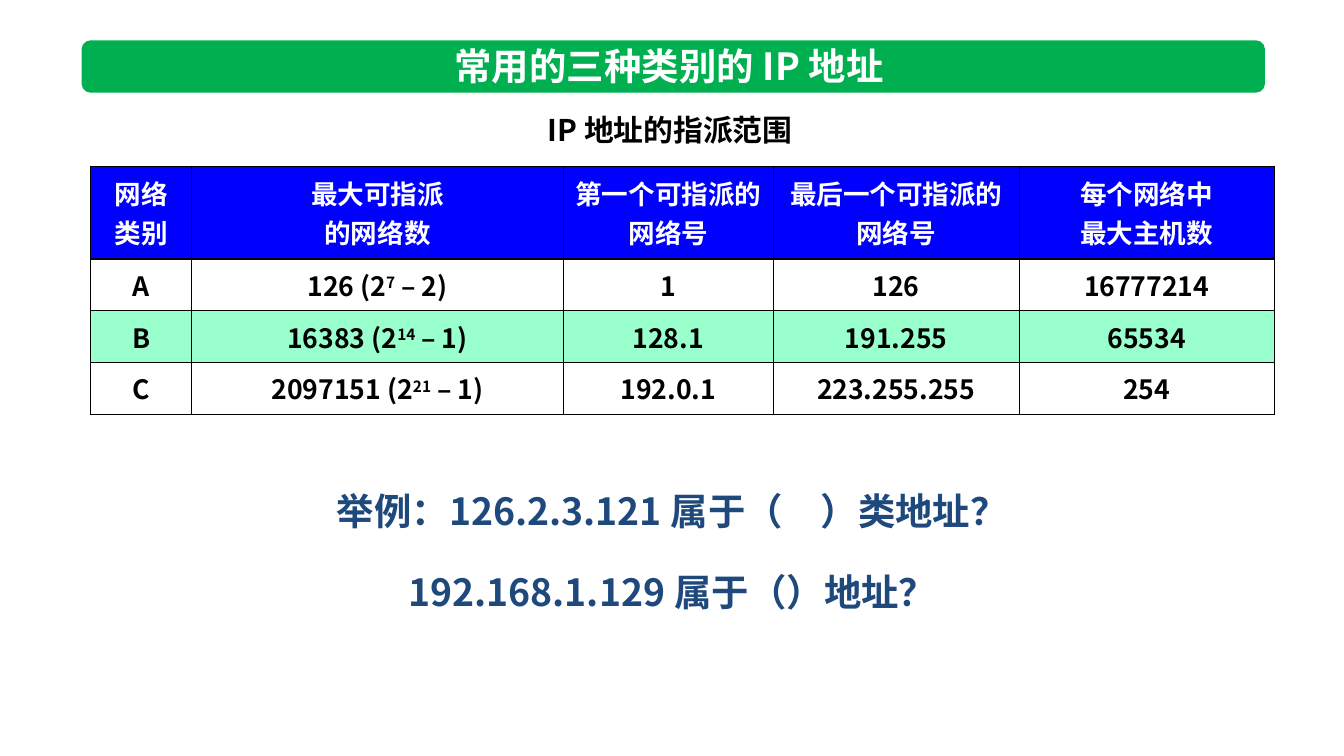
import dataclasses

import pptx
import pptx.dml.color
import pptx.enum.shapes
import pptx.enum.text
import pptx.oxml
import pptx.oxml.ns
import pptx.util

Pt = pptx.util.Pt
TEXT = pptx.enum.text
SPACE = pptx.oxml.ns.nsdecls("a")


@dataclasses.dataclass(frozen=True)
class Theme:
    font: str = "Noto Sans CJK SC"
    white: str = "FFFFFF"
    black: str = "000000"
    green: str = "00B050"
    blue: str = "0000FF"
    mint: str = "99FFCC"
    navy: str = "1F497D"
    large: float = 26.7
    medium: float = 21.3
    small: float = 19


THEME = Theme()

HEADS = [
    ["网络", "类别"],
    ["最大可指派", "的网络数"],
    ["第一个可指派的", "网络号"],
    ["最后一个可指派的", "网络号"],
    ["每个网络中", "最大主机数"],
]
CLASSES = [
    ["A", "126 (2^7^ – 2)", "1", "126", "16777214"],
    ["B", "16383 (2^14^ – 1)", "128.1", "191.255", "65534"],
    ["C", "2097151 (2^21^ – 1)", "192.0.1", "223.255.255", "254"],
]
WIDTHS = [72, 265.7, 149.8, 175.7, 182.2]
HEIGHTS = [66.2, 37, 37, 37]


def paint(fill, color):
    fill.solid()
    fill.fore_color.rgb = pptx.dml.color.RGBColor.from_string(color)


def add_run(para, text, size, color, raised=False):
    run = para.add_run()
    run.text = text
    font = run.font
    font.name, font.size, font.bold = THEME.font, Pt(size), True
    paint(font.fill, color)
    props = font._element
    props.append(pptx.oxml.parse_xml(
        f'<a:ea {SPACE} typeface="{THEME.font}"/>'))
    if raised:
        props.set("baseline", "30000")


def write(frame, lines, size, color, gap=0):
    """Fill a frame with centred lines; text between carets is superscript."""
    for row, line in enumerate(lines):
        para = frame.add_paragraph() if row else frame.paragraphs[0]
        para.alignment = TEXT.PP_ALIGN.CENTER
        if row and gap:
            para.space_before = Pt(gap)
        for part, text in enumerate(line.split("^")):
            add_run(para, text, size, color, part % 2 == 1)


def add_label(slide, box, lines, size, color, gap=0):
    label = slide.shapes.add_textbox(*map(Pt, box))
    frame = label.text_frame
    frame.word_wrap = False
    frame.auto_size = TEXT.MSO_AUTO_SIZE.SHAPE_TO_FIT_TEXT
    write(frame, lines, size, color, gap)


def add_banner(slide, box):
    kind = pptx.enum.shapes.MSO_SHAPE.ROUNDED_RECTANGLE
    shape = slide.shapes.add_shape(kind, *map(Pt, box))
    shape.adjustments[0] = 0.17
    shape.shadow.inherit = False
    paint(shape.fill, THEME.green)
    shape.line.fill.background()


def add_edges(cell):
    props = cell._tc.get_or_add_tcPr()
    for place, side in enumerate("LRTB"):
        edge = pptx.oxml.parse_xml(
            f'<a:ln{side} {SPACE} w="{Pt(1)}"><a:solidFill>'
            f'<a:srgbClr val="{THEME.black}"/></a:solidFill></a:ln{side}>'
        )
        props.insert(place, edge)


def set_cell(cell, lines, color, fill):
    cell.vertical_anchor = TEXT.MSO_ANCHOR.MIDDLE
    cell.margin_left = cell.margin_right = Pt(7.2)
    cell.margin_top = cell.margin_bottom = 0
    if fill:
        paint(cell.fill, fill)
    else:
        cell.fill.background()
    add_edges(cell)
    write(cell.text_frame, lines, THEME.small, color)


def add_grid(slide, left, top):
    rows = [HEADS] + [[[text] for text in row] for row in CLASSES]
    size = (left, top, sum(WIDTHS), sum(HEIGHTS))
    table = slide.shapes.add_table(
        len(rows), len(WIDTHS), *map(Pt, size)
    ).table
    table.first_row = table.horz_banding = False
    for column, width in zip(table.columns, WIDTHS):
        column.width = Pt(width)
    for row, height in zip(table.rows, HEIGHTS):
        row.height = Pt(height)
    fills = [THEME.blue, None, THEME.mint, None]
    for r, row in enumerate(rows):
        color = THEME.black if r else THEME.white
        for c, lines in enumerate(row):
            set_cell(table.cell(r, c), lines, color, fills[r])


def main():
    deck = pptx.Presentation()
    deck.slide_width, deck.slide_height = Pt(960), Pt(540)
    slide = deck.slides.add_slide(deck.slide_layouts[6])
    add_banner(slide, (58.3, 28.8, 845.3, 37.4))
    add_label(slide, (313.9, 27.4, 334, 39.6),
              ["常用的三种类别的 IP 地址 "], THEME.large, THEME.white)
    add_label(slide, (380.9, 76.3, 200.2, 33.1),
              ["IP 地址的指派范围 "], THEME.medium, THEME.black)
    add_grid(slide, 64.8, 118.8)
    add_label(slide, (214.6, 345, 531.4, 110),
              ["举例：126.2.3.121 属于（　）类地址？",
               "192.168.1.129 属于（）地址？"],
              THEME.large, THEME.navy, gap=25.6)
    deck.save("out.pptx")


if __name__ == "__main__":
    main()
